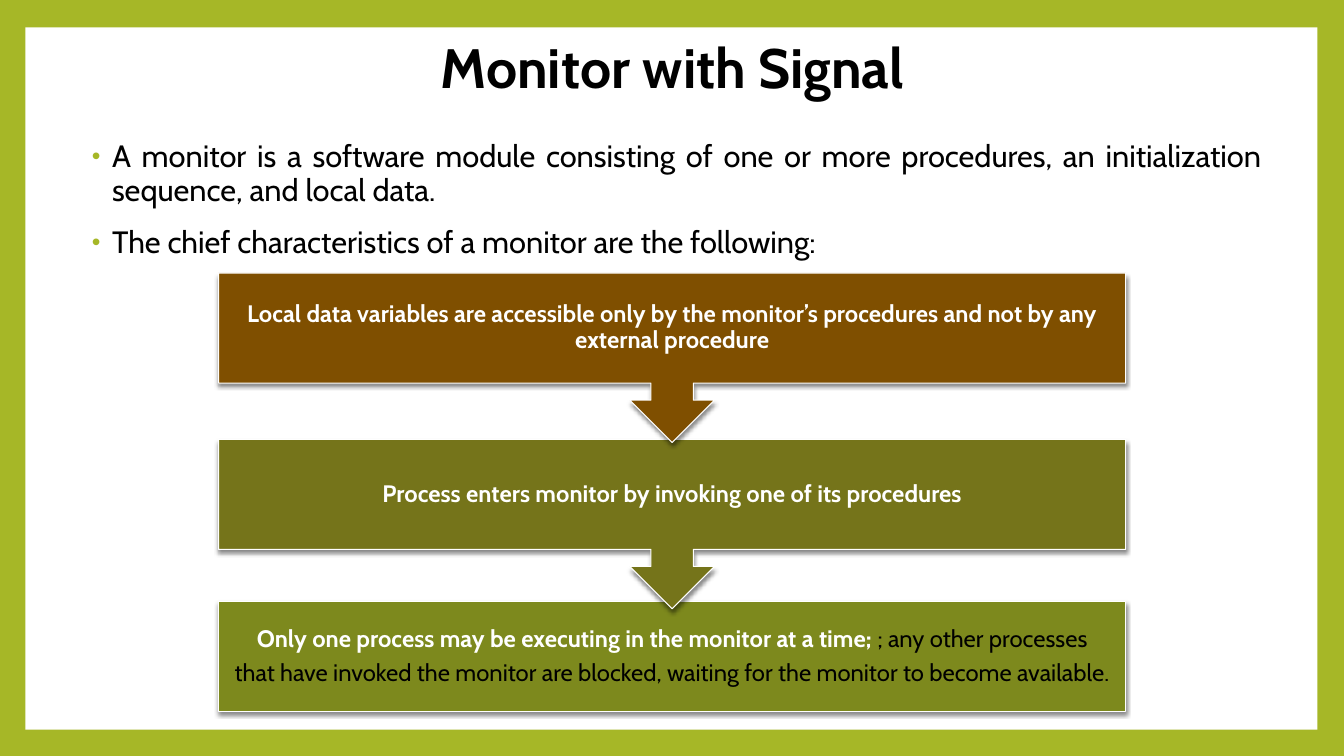
import pptx
import pptx.dml.color
import pptx.enum.shapes
import pptx.enum.text
import pptx.oxml
import pptx.oxml.ns
import pptx.util

Cm = pptx.util.Cm
Pt = pptx.util.Pt
RGBColor = pptx.dml.color.RGBColor
SHAPE = pptx.enum.shapes.MSO_SHAPE
ALIGN = pptx.enum.text.PP_ALIGN
ANCHOR = pptx.enum.text.MSO_ANCHOR

LIME = RGBColor(0xA6, 0xB7, 0x27)
BROWN = RGBColor(0x7F, 0x4F, 0x00)
OLIVE = RGBColor(0x75, 0x74, 0x1A)
GREEN = RGBColor(0x7D, 0x89, 0x1D)
WHITE = RGBColor(0xFF, 0xFF, 0xFF)
BLACK = RGBColor(0x00, 0x00, 0x00)

FONT = "Cabin"
TITLE = "Monitor with Signal"
BULLETS = [
    "A monitor is a software module consisting of one or more procedures, "
    "an initialization sequence, and local data.",
    "The chief characteristics of a monitor are the following:",
]
BOX_HEIGHT = 2.77
CALLOUT_HEIGHT = 4.27
# Each step: top within the flow, fill, paragraphs of (text, colour, bold) spans
STEPS = [
    (0, BROWN, [[("Local data variables are accessible only by the monitor’s "
                  "procedures and not by any external procedure", WHITE, True)]]),
    (4.19, OLIVE, [[("Process enters monitor by invoking one of its procedures",
                     WHITE, True)]]),
    (8.28, GREEN, [
        [("Only one process may be executing in the monitor at a time; ", WHITE, True),
         ("; any other processes", BLACK, False)],
        [("that have invoked the monitor are blocked, waiting for the monitor "
          "to become available.", BLACK, False)],
    ]),
]


def place(shape, left, top, width, height):
    shape.left, shape.top = Cm(left), Cm(top)
    shape.width, shape.height = Cm(width), Cm(height)


def add_span(para, text, size, color, bold=False):
    span = para.add_run()
    span.text = text
    span.font.name = FONT
    span.font.size = Pt(size)
    span.font.bold = bold
    span.font.color.rgb = color


def add_xml(parent, xml):
    namespaces = pptx.oxml.ns.nsdecls("a")
    parent.append(pptx.oxml.parse_xml(xml.replace(" ", f" {namespaces} ", 1)))


def add_background(page, left, top, width, height):
    page.background.fill.solid()
    page.background.fill.fore_color.rgb = LIME
    panel = page.shapes.add_shape(SHAPE.RECTANGLE, Cm(left), Cm(top), Cm(width), Cm(height))
    panel.shadow.inherit = False
    panel.fill.solid()
    panel.fill.fore_color.rgb = WHITE
    panel.line.fill.background()
    # The panel lies behind the placeholders
    page.shapes.element.insert(2, panel.element)


def fill_title(title, left, top, width, height):
    place(title, left, top, width, height)
    frame = title.text_frame
    frame.auto_size = pptx.enum.text.MSO_AUTO_SIZE.NONE
    frame.vertical_anchor = ANCHOR.MIDDLE
    para = frame.paragraphs[0]
    para.alignment = ALIGN.CENTER
    para.line_spacing = 0.9
    add_span(para, TITLE, 39.6, BLACK, True)


def fill_bullets(body, left, top, width, height):
    place(body, left, top, width, height)
    frame = body.text_frame
    frame.auto_size = pptx.enum.text.MSO_AUTO_SIZE.NONE
    frame.text = "\n".join([""] * len(BULLETS))
    for para, text in zip(frame.paragraphs, BULLETS):
        para.alignment = ALIGN.JUSTIFY
        para.line_spacing = 0.9
        para.space_before = Pt(14)
        properties = para._p.get_or_add_pPr()
        properties.set("marL", str(Cm(0.64)))
        properties.set("indent", str(Cm(-0.51)))
        add_xml(properties, f'<a:buClr ><a:srgbClr val="{LIME}"/></a:buClr>')
        add_xml(properties, '<a:buSzPct val="80000"/>')
        add_xml(properties, '<a:buChar char="•"/>')
        add_span(para, text, 22, BLACK)


def add_step(page, kind, fill, paragraphs, left, top, width, height):
    box = page.shapes.add_shape(kind, Cm(left), Cm(top), Cm(width), Cm(height))
    box.fill.solid()
    box.fill.fore_color.rgb = fill
    box.line.color.rgb = WHITE
    box.line.width = Pt(0.75)
    add_xml(box.element.spPr,
            f'<a:effectLst ><a:outerShdw blurRad="{Pt(3)}" dist="{Pt(2)}" dir="5400000" '
            'rotWithShape="0"><a:srgbClr val="000000"><a:alpha val="45000"/></a:srgbClr>'
            '</a:outerShdw></a:effectLst>')
    frame = box.text_frame
    frame.word_wrap = True
    frame.vertical_anchor = ANCHOR.MIDDLE
    frame.margin_left = frame.margin_right = Cm(0.33)
    frame.margin_top = frame.margin_bottom = Cm(0.33)
    frame.text = "\n".join([""] * len(paragraphs))
    for para, spans in zip(frame.paragraphs, paragraphs):
        para.alignment = ALIGN.CENTER
        para.line_spacing = 0.9
        para.space_after = Pt(6)
        for text, color, bold in spans:
            add_span(para, text, 17, color, bold)


def add_flow(page, left, top, width):
    """Stack the steps from the last up, so each arrow tip overlaps the next box."""
    for offset, fill, paragraphs in reversed(STEPS):
        is_last = offset == STEPS[-1][0]
        kind = SHAPE.RECTANGLE if is_last else SHAPE.DOWN_ARROW_CALLOUT
        height = BOX_HEIGHT if is_last else CALLOUT_HEIGHT
        add_step(page, kind, fill, paragraphs, left, top + offset, width, height)


def main():
    deck = pptx.Presentation()
    deck.slide_width, deck.slide_height = Cm(33.87), Cm(19.05)
    page = deck.slides.add_slide(deck.slide_layouts[1])
    add_background(page, 0.64, 0.69, 32.56, 17.7)
    fill_title(page.shapes.title, 7.8, 1.02, 18.29, 1.52)
    fill_bullets(page.placeholders[1], 1.93, 3.43, 30.12, 3.63)
    add_flow(page, 5.51, 6.88, 22.86)
    deck.save("out.pptx")


if __name__ == "__main__":
    main()
